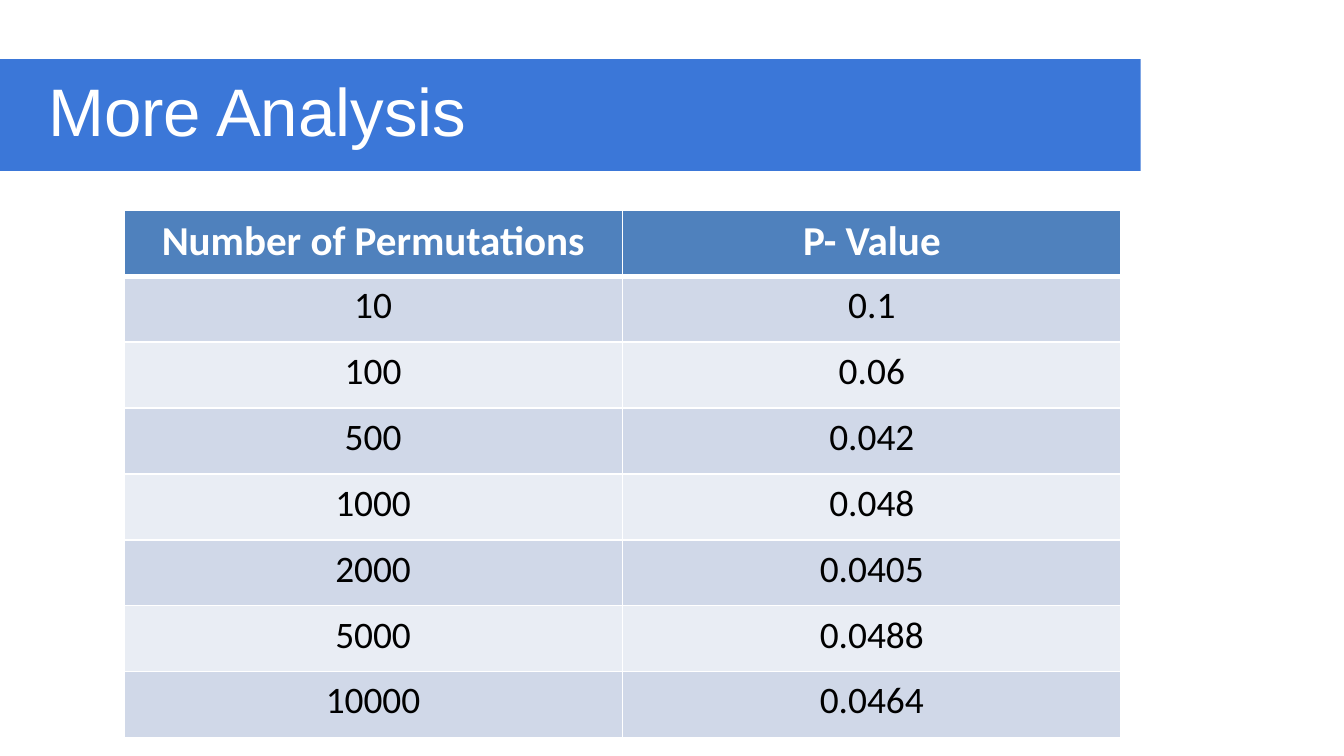
from pptx import Presentation
from pptx.dml.color import RGBColor
from pptx.enum.shapes import MSO_SHAPE
from pptx.enum.text import PP_ALIGN
from pptx.oxml import parse_xml
from pptx.oxml.ns import nsdecls
from pptx.util import Cm, Pt


def rgb(value):
    return RGBColor.from_string(value)


class Deck:
    white, black = "FFFFFF", "000000"
    banner_blue, header_blue = "3B77D8", "4F81BD"
    bands = ("D0D8E8", "E9EDF4")
    title_font, table_font = "Arial", "Calibri"

    def __init__(self):
        self.prs = Presentation()
        self.prs.slide_width, self.prs.slide_height = Cm(25.4), Cm(14.28)
        self.s = self.prs.slides.add_slide(self.prs.slide_layouts[6])

    def style(self, p, font, size, color, bold=False):
        for r in p.runs:
            r.font.name = font
            r.font.size = Pt(size)
            r.font.bold = bold
            r.font.color.rgb = rgb(color)

    def banner(self, x, y, w, h):
        sp = self.s.shapes.add_shape(MSO_SHAPE.RECTANGLE, Cm(x), Cm(y), Cm(w), Cm(h))
        sp.shadow.inherit = False
        sp.fill.solid()
        sp.fill.fore_color.rgb = rgb(self.banner_blue)
        sp.line.fill.background()

    def title(self, text, x, y, w, h):
        tf = self.s.shapes.add_textbox(Cm(x), Cm(y), Cm(w), Cm(h)).text_frame
        tf.word_wrap = True
        tf.margin_left = tf.margin_top = tf.margin_right = tf.margin_bottom = 0
        tf.text = text
        self.style(tf.paragraphs[0], self.title_font, 36, self.white)

    def borders(self, cell, top, bottom):
        tcPr = cell._tc.get_or_add_tcPr()
        widths = {"lnL": 1, "lnR": 1, "lnT": top, "lnB": bottom}
        for i, (side, width) in enumerate(widths.items()):
            tcPr.insert(i, parse_xml(
                f'<a:{side} {nsdecls("a")} w="{Pt(width)}"><a:solidFill>'
                f'<a:srgbClr val="{self.white}"/></a:solidFill></a:{side}>'))

    def table(self, rows, x, y, w, h):
        table = self.s.shapes.add_table(
            len(rows), len(rows[0]), Cm(x), Cm(y), Cm(w), Cm(h)).table
        for i, row in enumerate(rows):
            header = i == 0
            for j, text in enumerate(row):
                cell = table.cell(i, j)
                cell.text = text
                cell.fill.solid()
                cell.fill.fore_color.rgb = rgb(
                    self.header_blue if header else self.bands[(i - 1) % 2])
                p = cell.text_frame.paragraphs[0]
                p.alignment = PP_ALIGN.CENTER
                self.style(p, self.table_font, 22 if header else 20,
                           self.white if header else self.black, header)
                self.borders(cell, 3 if i == 1 else 1, 3 if header else 1)


def main():
    deck = Deck()
    deck.banner(0, 1.12, 21.56, 2.11)
    deck.title("More Analysis", 0.91, 1.3, 23.6, 1.55)
    deck.table([
        ("Number of Permutations", "P- Value"),
        ("10", "0.1"),
        ("100", "0.06"),
        ("500", "0.042"),
        ("1000", "0.048"),
        ("2000", "0.0405"),
        ("5000", "0.0488"),
        ("10000", "0.0464"),
    ], 2.34, 3.97, 18.85, 9.96)
    deck.prs.save("out.pptx")


if __name__ == "__main__":
    main()
